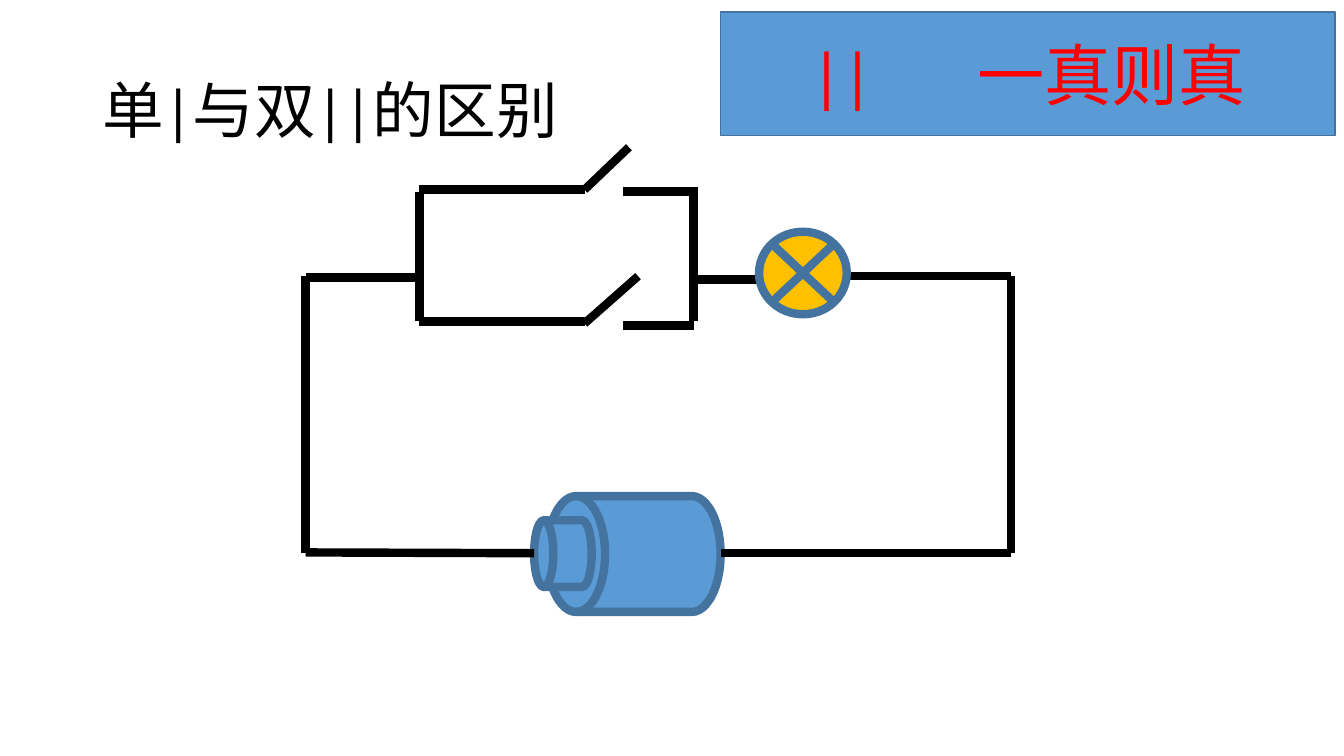
from lxml.etree import SubElement
from pptx import Presentation
from pptx.dml.color import RGBColor
from pptx.enum.shapes import MSO_CONNECTOR, MSO_SHAPE
from pptx.enum.text import MSO_ANCHOR, MSO_AUTO_SIZE, PP_ALIGN
from pptx.oxml.ns import qn
from pptx.util import Cm, Pt


def rgb(value):
    """Return the colour for a hex string."""
    return RGBColor.from_string(value)


def write(sp, text, size, color="000000", font="Calibri", spacing=1.0, inset=0.25, tab=None):
    """Put one left-aligned, vertically centred paragraph into a shape."""
    tf = sp.text_frame
    tf.word_wrap = True
    tf.auto_size = MSO_AUTO_SIZE.NONE
    tf.vertical_anchor = MSO_ANCHOR.MIDDLE
    tf.margin_left = Cm(inset)
    p = tf.paragraphs[0]
    p.alignment = PP_ALIGN.LEFT
    p.line_spacing = spacing
    if tab:
        tabs = SubElement(p._p.get_or_add_pPr(), qn("a:tabLst"))
        SubElement(tabs, qn("a:tab"), pos=str(Cm(tab)), algn="l")
    r = p.add_run()
    r.text = text
    r.font.size = Pt(size)
    r.font.name = font
    r.font.color.rgb = rgb(color)


class Circuit:
    """Holds the style and the current slide."""

    blue, outline, wire_color, weight = "5B9BD5", "43739E", "000000", 6

    def __init__(self, prs):
        """Add a slide with only a title."""
        self.s = prs.slides.add_slide(prs.slide_layouts[5])

    def title(self, text, box):
        """Place and fill the title."""
        sp = self.s.shapes.title
        sp.left, sp.top, sp.width, sp.height = map(Cm, box)
        write(sp, text, 44, spacing=0.9)

    def shape(self, kind, box, fill=blue, weight=weight, rotation=0):
        """Add an outlined preset shape."""
        sp = self.s.shapes.add_shape(kind, *map(Cm, box))
        sp.shadow.inherit = False
        sp.rotation = rotation
        sp.fill.solid()
        sp.fill.fore_color.rgb = rgb(fill)
        sp.line.color.rgb = rgb(self.outline)
        sp.line.width = Pt(weight)
        return sp

    def wire(self, *ends):
        """Add a straight wire from x1, y1 to x2, y2."""
        sp = self.s.shapes.add_connector(MSO_CONNECTOR.STRAIGHT, *map(Cm, ends))
        sp.line.color.rgb = rgb(self.wire_color)
        sp.line.width = Pt(self.weight)
        SubElement(sp._element.spPr, qn("a:effectLst"))


prs = Presentation()
prs.slide_width, prs.slide_height = Cm(33.87), Cm(19.05)
circuit = Circuit(prs)
circuit.title("单|与双||的区别", (2.34, 1.02, 29.21, 3.68))

left, right, top, bottom = 7.7, 25.48, 6.96, 13.94
fork, hinge, contact, join = 10.57, 14.73, 15.7, 17.48
battery_left, battery_right, lamp_left, lamp_right = 13.46, 18.16, 19.13, 21.31

for box in ((13.79, 12.5, 4.37, 2.92), (battery_left, 13.11, 1.45, 1.68)):
    circuit.shape(MSO_SHAPE.FLOWCHART_DIRECT_ACCESS_STORAGE, box, rotation=180)

outer_wires = [
    (battery_left, bottom, left, 13.92),
    (left, bottom, left, top),
    (right, bottom, right, top),
    (right, bottom, battery_right, bottom),
    (fork, 6.99, left, 6.99),
    (right, top, lamp_right, top),
    (lamp_left, 7.04, join, 7.04),
    (fork, 4.83, fork, 8.1),
    (join, 4.7, join, 8.1),
]
for ends in outer_wires:
    circuit.wire(*ends)

switches = [(4.78, 4.83, 4.78, 15.85, 3.71), (8.1, 8.2, 8.15, 16.08, 6.96)]
for feed_y, contact_y, hinge_y, tip_x, tip_y in switches:
    circuit.wire(hinge, feed_y, fork, feed_y)
    circuit.wire(join, contact_y, contact, contact_y)
    circuit.wire(tip_x, tip_y, hinge, hinge_y)

circuit.shape(MSO_SHAPE.FLOWCHART_SUMMING_JUNCTION, (lamp_left, 5.84, 2.21, 2.08), fill="FFC000")

banner = circuit.shape(MSO_SHAPE.RECTANGLE, (18.16, 0.3, 15.49, 3.12), weight=1)
write(banner, "||\t一真则真", 48, color="FF0000", inset=2.3, tab=4.17)

prs.save("out.pptx")
